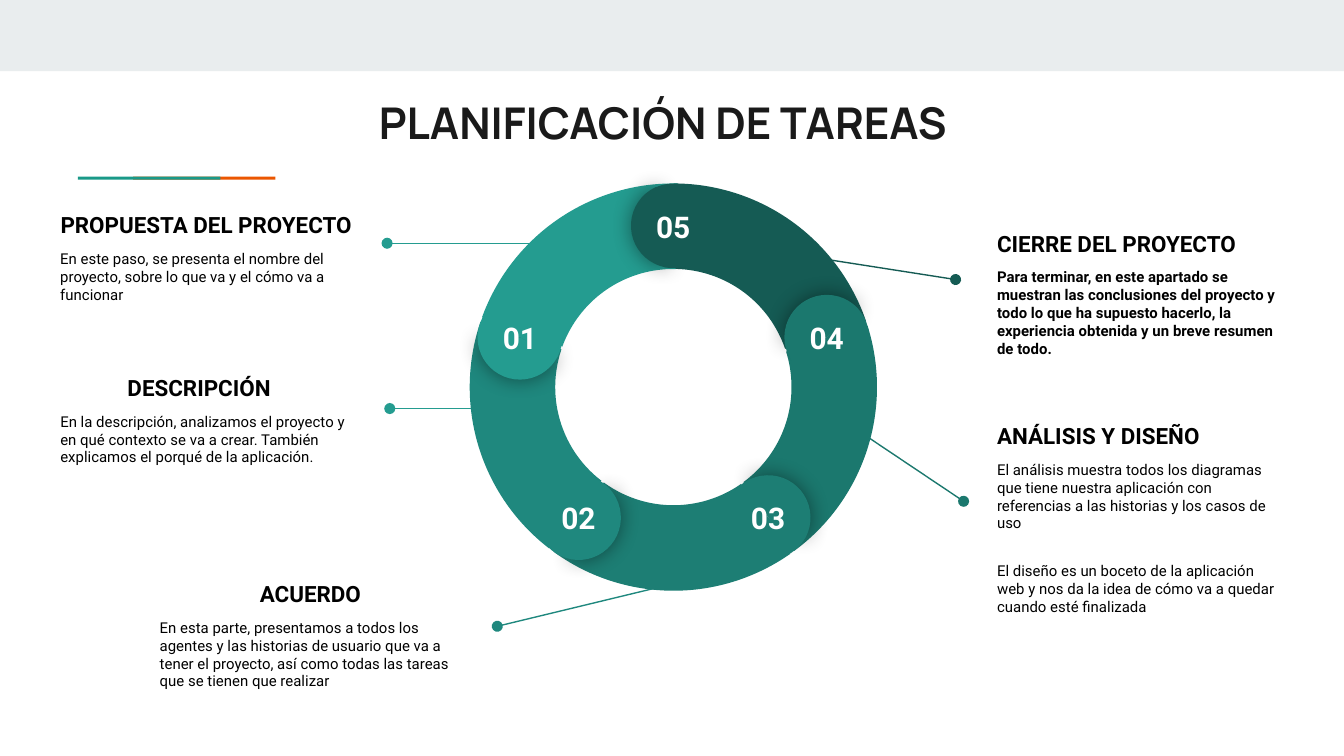
from dataclasses import dataclass
from math import cos, radians, sin

from lxml.etree import SubElement
from pptx import Presentation
from pptx.dml.color import RGBColor
from pptx.enum.shapes import MSO_CONNECTOR, MSO_SHAPE
from pptx.enum.text import MSO_ANCHOR, PP_ALIGN
from pptx.oxml.ns import qn
from pptx.util import Inches, Pt


@dataclass(frozen=True)
class Theme:
    """Colours, fonts and type sizes of the slide."""
    bar: str = "E9EDEE"
    orange: str = "EB5600"
    teal: str = "1A9988"
    ink: str = "1A1A1A"
    black: str = "000000"
    white: str = "FFFFFF"
    ring: tuple = ("249C90", "1F887E", "1D7E74", "1B786E", "155B54")
    display: str = "Manrope"
    text: str = "Roboto"
    title: float = 23.4
    number: float = 16
    heading: float = 12
    body: float = 8
    line: float = 0.75


class Deck:
    """Draws styled elements on a grid of 100 columns by 56.25 rows."""

    cols, rows = 100, 56.25

    def __init__(self, theme):
        self.theme = theme
        self.prs = Presentation()
        self.prs.slide_width, self.prs.slide_height = Inches(10), Inches(5.625)
        self.s = self.prs.slides.add_slide(self.prs.slide_layouts[6])

    def x(self, col):
        """Turns columns into a length."""
        return round(self.prs.slide_width * col / self.cols)

    def y(self, row):
        """Turns rows into a length."""
        return round(self.prs.slide_height * row / self.rows)

    def box(self, left, top, width, height):
        """Turns a grid box into four lengths."""
        return self.x(left), self.y(top), self.x(width), self.y(height)

    def shape(self, kind, box, color, rotation=0, adjustments=(), glow=False):
        """Adds a filled preset shape, with a soft shadow if glow is set."""
        sp = self.s.shapes.add_shape(kind, *self.box(*box))
        sp.shadow.inherit = False
        sp.fill.solid()
        sp.fill.fore_color.rgb = RGBColor.from_string(color)
        sp.line.fill.background()
        sp.rotation = rotation % 360
        for i, value in enumerate(adjustments):
            sp.adjustments[i] = value
        if glow:
            effects = sp._element.spPr.find(qn("a:effectLst"))
            shadow = SubElement(effects, qn("a:outerShdw"), blurRad=str(Pt(11.2)),
                                dist="0", algn="ctr", rotWithShape="0")
            clr = SubElement(shadow, qn("a:srgbClr"), val=self.theme.black)
            SubElement(clr, qn("a:alpha"), val="43000")

    def frame(self, box, anchor=MSO_ANCHOR.TOP):
        """Adds an empty wrapping text box and returns its text frame."""
        tf = self.s.shapes.add_textbox(*self.box(*box)).text_frame
        tf.word_wrap = True
        tf.vertical_anchor = anchor
        tf.margin_left = tf.margin_right = Inches(0.1)
        tf.margin_top = tf.margin_bottom = Inches(0.1)
        return tf

    def style_text(self, p, text, size, color, bold=True, font=None, align=PP_ALIGN.LEFT):
        """Fills a paragraph with styled text."""
        p.text = text
        p.alignment = align
        p.font.name = font or self.theme.text
        p.font.size = Pt(size)
        p.font.bold = bold
        p.font.color.rgb = RGBColor.from_string(color)

    def label(self, box, text, size, color, **style):
        """Adds a one-paragraph text box."""
        self.style_text(self.frame(box).paragraphs[0], text, size, color, **style)

    def step(self, box, heading, bodies, align=PP_ALIGN.LEFT, indent=0, bold=False):
        """Adds a heading with its explanation below."""
        t = self.theme
        tf = self.frame(box, MSO_ANCHOR.MIDDLE)
        p = tf.paragraphs[0]
        if indent:
            p._p.get_or_add_pPr().set("indent", str(self.x(indent)))
        self.style_text(p, heading, t.heading, t.black, align=align)
        for i, body in enumerate(bodies):
            p = tf.add_paragraph()
            self.style_text(p, body, t.body, t.black, bold=bold)
            p.space_before = Pt(16 if i else 6)
        p.space_after = Pt(16)

    def pointer(self, start, end, color):
        """Adds a thin line that ends in a dot."""
        c = self.s.shapes.add_connector(MSO_CONNECTOR.STRAIGHT, self.x(start[0]), self.y(start[1]),
                                        self.x(end[0]), self.y(end[1]))
        c.line.color.rgb = RGBColor.from_string(color)
        c.line.width = Pt(self.theme.line)
        SubElement(c.line._get_or_add_ln(), qn("a:tailEnd"), type="oval")
        SubElement(c._element.spPr, qn("a:effectLst"))

    def arc(self, n, center, size):
        """Adds the ring segment of step n."""
        box = (center[0] - size / 2, center[1] - size / 2, size, size)
        self.shape(MSO_SHAPE.BLOCK_ARC, box, self.theme.ring[n - 1],
                   350 - 72.5 * (n - 1), (126.03, 168.68, 0.21))

    def cap(self, n, center, size):
        """Adds the round end of step n: a shadowed half and a plain half."""
        box = (center[0] - size / 2, center[1] - size / 2, size, size)
        color, turn = self.theme.ring[n - 1], -72 * n - 3.5
        self.shape(MSO_SHAPE.PIE, box, color, turn, (61.9, 149.96), glow=True)
        self.shape(MSO_SHAPE.PIE, box, color, turn + 179.3, (40.28, 171.84))


def main():
    """Builds the task planning slide."""
    t = Theme()
    d = Deck(t)
    d.shape(MSO_SHAPE.RECTANGLE, (0, 0, 100, 5.3), t.bar)
    for left, color in ((9.9, t.orange), (5.8, t.teal)):
        d.shape(MSO_SHAPE.RECTANGLE, (left, 13.15, 10.6, 0.22), color)
    d.label((27.2, 6.1, 45.5, 5.9), "PLANIFICACIÓN DE TAREAS", t.title, t.ink, font=t.display)

    d.step((3.5, 14.1, 23.7, 10.1), "PROPUESTA DEL PROYECTO",
           ["En este paso, se presenta el nombre del proyecto, sobre lo que va y el cómo va a "
            "funcionar"], align=PP_ALIGN.CENTER)
    d.step((3.5, 24.2, 23.2, 14.1), "DESCRIPCIÓN",
           ["En la descripción, analizamos el proyecto y en qué contexto se va a crear. También "
            "explicamos el porqué de la aplicación."], indent=5)
    d.step((10.9, 42.2, 24.4, 10.1), "ACUERDO",
           ["En esta parte, presentamos a todos los agentes y las historias de usuario que va a "
            "tener el proyecto, así como todas las tareas que se tienen que realizar"],
           align=PP_ALIGN.CENTER)
    d.step((73.2, 32.2, 23.2, 12.8), "ANÁLISIS Y DISEÑO",
           ["El análisis muestra todos los diagramas que tiene nuestra aplicación con referencias "
            "a las historias y los casos de uso",
            "El diseño es un boceto de la aplicación web y nos da la idea de cómo va a quedar "
            "cuando esté finalizada"])
    d.step((73.2, 14.8, 23.2, 14.1), "CIERRE DEL PROYECTO",
           ["Para terminar, en este apartado se muestran las conclusiones del proyecto y todo lo "
            "que ha supuesto hacerlo, la experiencia obtenida y un breve resumen de todo."],
           bold=True)

    pointers = (((42.2, 18.1), (28.8, 18.1), 1), ((35.9, 30.4), (29, 30.4), 1),
                ((51.5, 43.1), (37, 46.6), 2), ((61.4, 30.4), (71.7, 37.3), 4),
                ((57, 18.6), (71.1, 20.8), 5))
    for start, end, n in pointers:
        d.pointer(start, end, t.ring[n - 1])

    center, radius = (50.1, 28.8), 12
    ends = {n: (center[0] - radius * sin(radians(72 * n)), center[1] - radius * cos(radians(72 * n)))
            for n in range(1, 6)}
    layers = (("arc", 2), ("arc", 4), ("arc", 5), ("cap", 4), ("arc", 3),
              ("cap", 2), ("arc", 1), ("cap", 5), ("cap", 3), ("cap", 1))
    for part, n in layers:
        if part == "arc":
            d.arc(n, center, 30.3)
        else:
            d.cap(n, ends[n], 6.3)
    for n, (x, y) in ends.items():
        d.label((x - 2.8, y - 2.3, 5.6, 2.9), f"{n:02}", t.number, t.white, align=PP_ALIGN.CENTER)

    d.prs.save("out.pptx")


if __name__ == "__main__":
    main()
